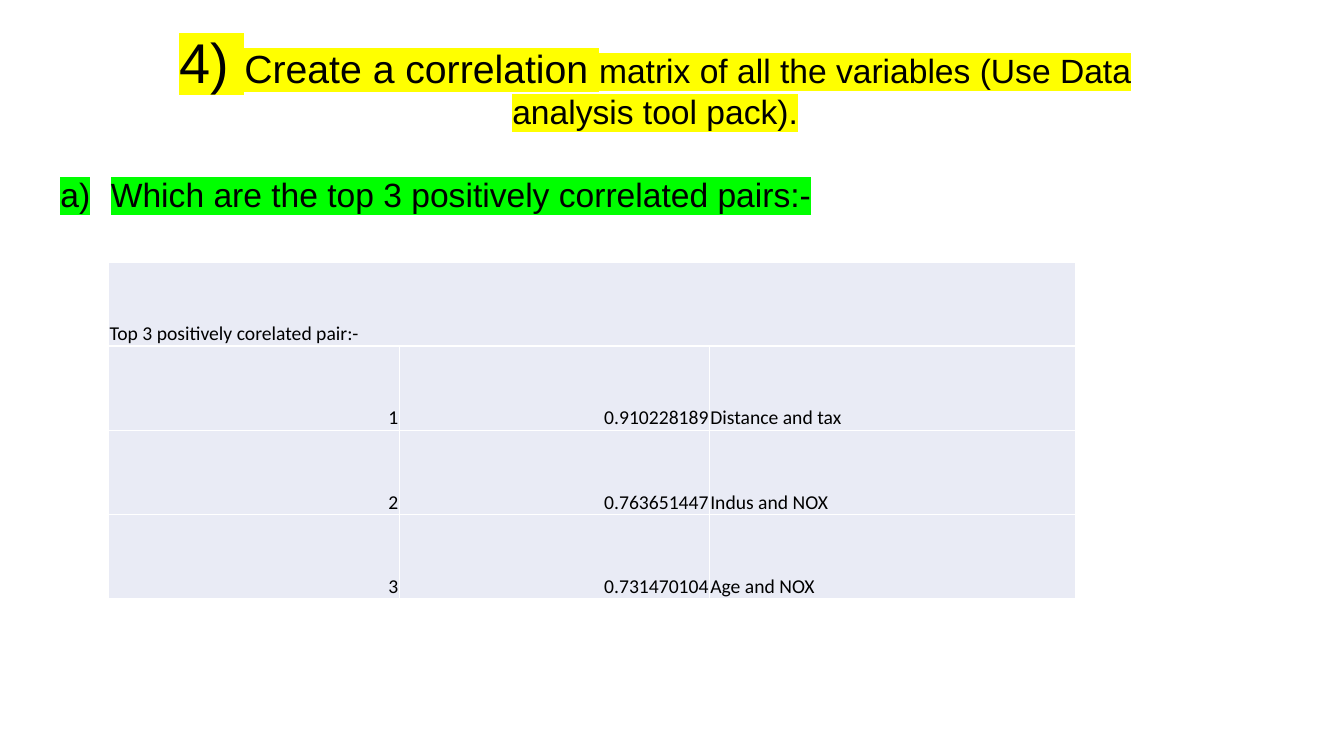
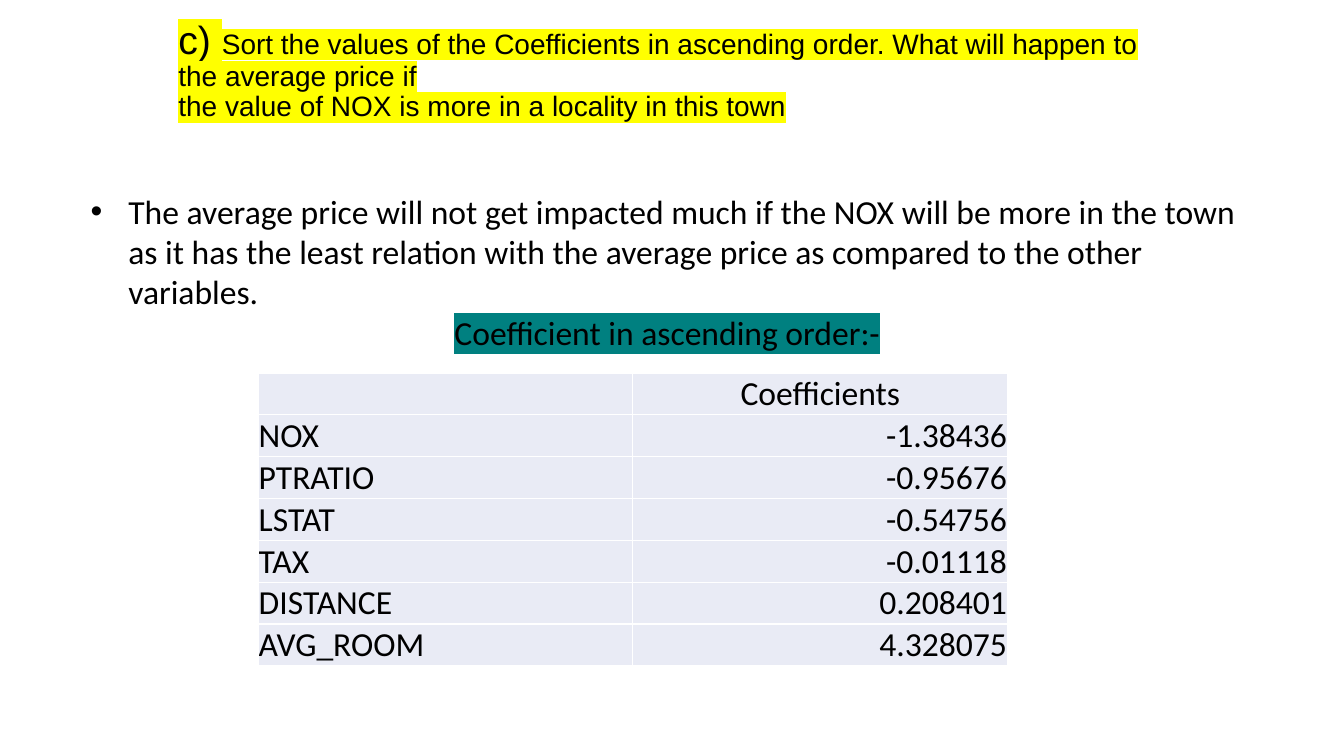
from lxml.etree import SubElement as Sub
from pptx import Presentation
from pptx.dml.color import RGBColor as RGB
from pptx.enum.text import MSO_ANCHOR as Anchor, MSO_AUTO_SIZE as Fit, PP_ALIGN as Align
from pptx.oxml.ns import qn
from pptx.util import Cm, Pt

# Shared colours and fonts
BLACK = RGB(0, 0, 0)
WHITE = RGB(255, 255, 255)
YELLOW = RGB(255, 255, 0)
GREEN = RGB(0, 255, 0)
TEAL = RGB(0, 128, 128)
PALE = RGB(0xE9, 0xEB, 0xF5)
HEAD, TEXT = "Arial", "Calibri"


def add_run(para, text, size, font, mark=None):
    run = para.add_run()
    run.text = text
    run.font.size = Pt(size)
    run.font.color.rgb = BLACK
    if mark is not None:
        fill = run.font.fill._xPr.find(qn("a:solidFill"))
        light = fill.makeelement(qn("a:highlight"))
        Sub(light, qn("a:srgbClr"), val=str(mark))
        fill.addnext(light)
    run.font.name = font


def set_para(para, align=Align.LEFT, space=1.0):
    para.alignment = align
    para.line_spacing = space
    para.space_before = Pt(0)


def set_list(para, indent, tag, **kind):
    props = para._p.get_or_add_pPr()
    props.set("marL", str(indent))
    props.set("indent", str(-indent))
    Sub(props, qn("a:buFont"), typeface=HEAD)
    Sub(props, qn(tag), **kind)


def place(holder, box, anchor=Anchor.TOP):
    holder.left, holder.top, holder.width, holder.height = map(Cm, box)
    frame = holder.text_frame
    frame.word_wrap = True
    frame.auto_size = Fit.NONE
    frame.vertical_anchor = anchor
    return frame


def add_title(slide, box, lines, align, anchor):
    """Each line is a list of (text, size) runs."""
    para = place(slide.shapes.title, box, anchor).paragraphs[0]
    set_para(para, align, 0.9)
    for row, line in enumerate(lines):
        if row:
            para.add_line_break()
        for text, size in line:
            add_run(para, text, size, HEAD, YELLOW)


def add_body(slide, box, top):
    frame = place(slide.placeholders[1], box)
    frame.margin_top = Cm(top)
    return frame


def set_edge(cell):
    props = cell._tc.get_or_add_tcPr()
    for side in "LRTB":
        line = Sub(props, qn("a:ln" + side), w=str(Pt(1)))
        Sub(Sub(line, qn("a:solidFill")), qn("a:srgbClr"), val=str(WHITE))


def add_grid(slide, left, top, widths, height, rows, aligns, size):
    frame = slide.shapes.add_table(len(rows), len(widths), Cm(left), Cm(top),
                                   Cm(sum(widths)), Cm(height * len(rows)))
    table = frame.table
    table.first_row = table.horz_banding = False
    for col, width in zip(table.columns, widths):
        col.width = Cm(width)
    for r, row in enumerate(rows):
        table.rows[r].height = Cm(height)
        for c, text in enumerate(row):
            cell = table.cell(r, c)
            cell.margin_left = cell.margin_right = cell.margin_top = Cm(0.02)
            cell.margin_bottom = 0
            cell.vertical_anchor = Anchor.BOTTOM
            set_edge(cell)
            cell.fill.solid()
            cell.fill.fore_color.rgb = PALE
            if text:
                para = cell.text_frame.paragraphs[0]
                para.alignment = aligns[c]
                add_run(para, text, size, TEXT)
    return table


def add_pairs(deck):
    slide = deck.slides.add_slide(deck.slide_layouts[0])
    add_title(slide, (3.81, 0.1, 25.4, 3.35), [[
        ("4) ", 40), ("Create a correlation ", 28),
        ("matrix of all the variables (Use Data analysis tool pack).", 24),
    ]], Align.CENTER, Anchor.BOTTOM)

    # Question
    para = add_body(slide, (1.27, 4.19, 31.5, 14.02), 0.2).paragraphs[0]
    set_para(para)
    set_list(para, Cm(1.27), "a:buAutoNum", type="alphaLcParenR")
    add_run(para, "Which are the top 3 positively correlated pairs:-", 24, HEAD, GREEN)

    # Ranked pairs under one merged heading
    rows = [
        ("Top 3 positively corelated pair:-", "", ""),
        ("1", "0.910228189", "Distance and tax"),
        ("2", "0.763651447", "Indus and NOX"),
        ("3", "0.731470104", "Age and NOX"),
    ]
    table = add_grid(slide, 2.74, 6.6, (7.32, 7.82, 9.22), 2.12, rows,
                     (Align.RIGHT, Align.RIGHT, Align.LEFT), 14)
    table.cell(0, 0).merge(table.cell(0, 2))
    table.cell(0, 0).text_frame.paragraphs[0].alignment = Align.LEFT


def add_sorted(deck):
    slide = deck.slides.add_slide(deck.slide_layouts[0])
    add_title(slide, (4.24, 0.38, 25.4, 4.06), [
        [("c) ", 28), ("Sort the values of the Coefficients in ascending order. "
                       "What will happen to the average price if", 20)],
        [("the value of NOX is more in a locality in this town", 20)],
    ], Align.LEFT, Anchor.TOP)

    # Answer and table heading
    frame = add_body(slide, (2.03, 3.66, 29.57, 13.49), 1.14)
    para = frame.paragraphs[0]
    set_para(para)
    set_list(para, Cm(0.95), "a:buChar", char="•")
    add_run(para, "The average price will not get impacted much if the NOX will be "
            "more in the town as it has the least relation with the average price "
            "as compared to the other variables.", 24, TEXT)
    para = frame.add_paragraph()
    set_para(para, Align.CENTER)
    add_run(para, "Coefficient in ascending order:-", 24, TEXT, TEAL)

    # Coefficients
    rows = [
        ("", "Coefficients"),
        ("NOX", "-1.38436"),
        ("PTRATIO", "-0.95676"),
        ("LSTAT", "-0.54756"),
        ("TAX", "-0.01118"),
        ("DISTANCE", "0.208401"),
        ("AVG_ROOM", "4.328075"),
    ]
    table = add_grid(slide, 6.5, 9.4, (9.45, 9.45), 1.04, rows,
                     (Align.LEFT, Align.RIGHT), 24)
    table.cell(0, 1).text_frame.paragraphs[0].alignment = Align.CENTER


def main():
    deck = Presentation()
    deck.slide_width, deck.slide_height = Cm(33.87), Cm(19.05)
    add_pairs(deck)
    add_sorted(deck)
    deck.save("out.pptx")


main()
